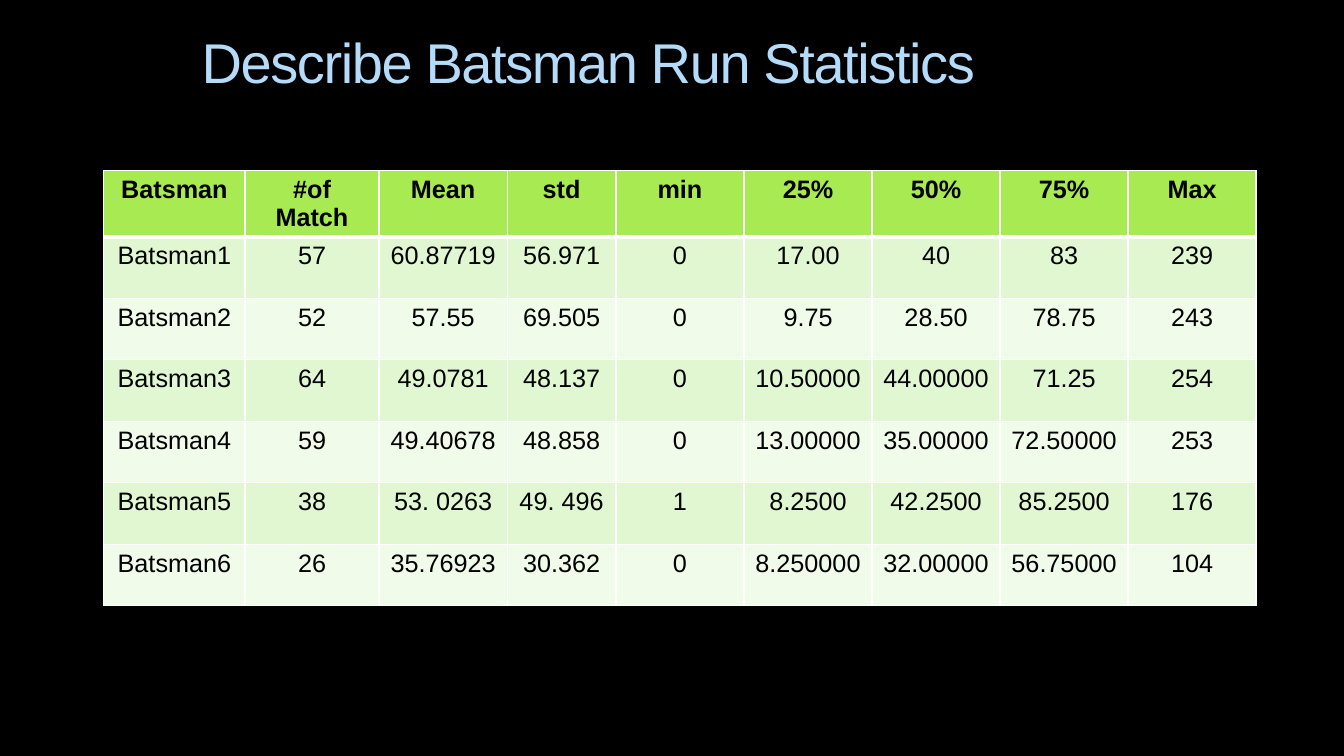
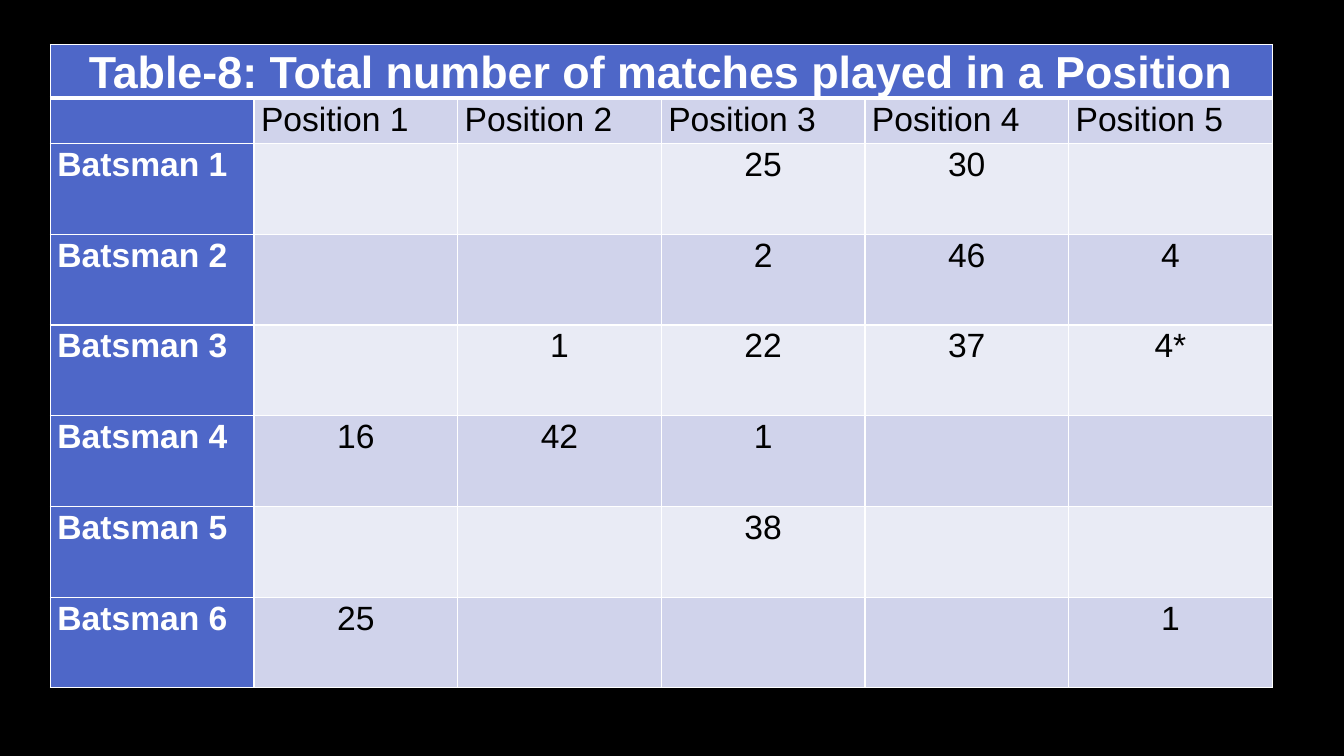
from lxml.etree import SubElement
from pptx import Presentation
from pptx.dml.color import RGBColor
from pptx.enum.text import MSO_ANCHOR, MSO_AUTO_SIZE, PP_ALIGN
from pptx.oxml.ns import qn
from pptx.util import Inches, Pt

BLACK = RGBColor(0x00, 0x00, 0x00)
WHITE = RGBColor(0xFF, 0xFF, 0xFF)
SKY = RGBColor(0xB4, 0xDC, 0xFA)
LIME = RGBColor(0xA7, 0xEA, 0x52)
LIME_BANDS = (RGBColor(0xE1, 0xF7, 0xD1), RGBColor(0xF1, 0xFB, 0xE9))
INDIGO = RGBColor(0x4E, 0x67, 0xC8)
INDIGO_BANDS = (RGBColor(0xD0, 0xD3, 0xEB), RGBColor(0xE9, 0xEB, 0xF5))
FONT = "Arial"
TITLE_ONLY, BLANK = 5, 6

STATISTICS = [
    ("Batsman", "#of Match", "Mean", "std", "min", "25%", "50%", "75%", "Max"),
    ("Batsman1", "57", "60.87719", "56.971", "0", "17.00", "40", "83", "239"),
    ("Batsman2", "52", "57.55", "69.505", "0", "9.75", "28.50", "78.75", "243"),
    ("Batsman3", "64", "49.0781", "48.137", "0", "10.50000", "44.00000", "71.25", "254"),
    ("Batsman4", "59", "49.40678", "48.858", "0", "13.00000", "35.00000", "72.50000", "253"),
    ("Batsman5", "38", "53. 0263", "49. 496", "1", "8.2500", "42.2500", "85.2500", "176"),
    ("Batsman6", "26", "35.76923", "30.362", "0", "8.250000", "32.00000", "56.75000", "104"),
]
POSITION_CAPTION = "Table-8: Total number of matches played in a Position"
POSITION_MATCHES = [
    ("", "", "25", "30", ""),
    ("", "", "2", "46", "4"),
    ("", "1", "22", "37", "4*"),
    ("16", "42", "1", "", ""),
    ("", "", "38", "", ""),
    ("25", "", "", "", "1"),
]


def add_run(paragraph, text, size, color, bold=False):
    run = paragraph.add_run()
    run.text = text
    run.font.name = FONT
    run.font.size = Pt(size)
    run.font.bold = bold
    run.font.color.rgb = color
    return run


def add_title(slide, text, left, top, width, height):
    title = slide.shapes.title
    title.left, title.top = Inches(left), Inches(top)
    title.width, title.height = Inches(width), Inches(height)
    frame = title.text_frame
    frame.auto_size = MSO_AUTO_SIZE.NONE
    frame.vertical_anchor = MSO_ANCHOR.TOP
    frame.margin_left, frame.margin_top = Inches(0.07), Inches(0.11)
    paragraph = frame.paragraphs[0]
    paragraph.alignment = PP_ALIGN.LEFT
    run = add_run(paragraph, text, 40, SKY)
    run.font._element.set("spc", "-100")


def add_grid(slide, left, top, widths, heights):
    frame = slide.shapes.add_table(
        len(heights), len(widths), Inches(left), Inches(top),
        Inches(sum(widths)), Inches(sum(heights)))
    table = frame.table
    for column, width in zip(table.columns, widths):
        column.width = Inches(width)
    for row, height in zip(table.rows, heights):
        row.height = Inches(height)
    return table


def set_borders(cell, row):
    properties = cell._tc.get_or_add_tcPr()
    weights = {"a:lnL": 1, "a:lnR": 1, "a:lnT": 3 if row == 1 else 1,
               "a:lnB": 3 if row == 0 else 1}
    for side, weight in weights.items():
        line = SubElement(properties, qn(side), w=str(Pt(weight)))
        fill = SubElement(line, qn("a:solidFill"))
        SubElement(fill, qn("a:srgbClr"), val=str(WHITE))


def fill_cell(cell, row, fill, text, size, color, bold, align, spacing=None):
    set_borders(cell, row)
    cell.fill.solid()
    cell.fill.fore_color.rgb = fill
    if text:
        paragraph = cell.text_frame.paragraphs[0]
        paragraph.alignment = align
        if spacing:
            paragraph.line_spacing = spacing
            cell.margin_left = cell.margin_right = Inches(0.07)
            cell.margin_top = cell.margin_bottom = 0
        add_run(paragraph, text, size, color, bold)


def add_statistics_table(slide, left, top):
    widths = [1.4, 1.33, 1.27, 1.08] + [1.27] * 5
    table = add_grid(slide, left, top, widths, [0.61] * len(STATISTICS))
    for row, values in enumerate(STATISTICS):
        header = row == 0
        fill = LIME if header else LIME_BANDS[(row - 1) % 2]
        for column, text in enumerate(values):
            fill_cell(table.cell(row, column), row, fill, text, 18, BLACK,
                      header, PP_ALIGN.CENTER)


def add_position_table(slide, left, top):
    count = len(POSITION_MATCHES[0])
    rows = [[POSITION_CAPTION] + [""] * count,
            [""] + [f"Position {n}" for n in range(1, count + 1)]]
    rows += [[f"Batsman {n}", *matches]
             for n, matches in enumerate(POSITION_MATCHES, 1)]
    heights = [0.45] * 2 + [0.9] * len(POSITION_MATCHES)
    table = add_grid(slide, left, top, [2.02] * (count + 1), heights)
    table.first_col = True
    table.cell(0, 0).merge(table.cell(0, count))
    for row, values in enumerate(rows):
        for column, text in enumerate(values):
            caption = row == 0
            heading = caption or column == 0
            label = not caption and (row == 1 or column == 0)
            fill_cell(table.cell(row, column), row,
                      INDIGO if heading else INDIGO_BANDS[(row - 1) % 2],
                      text, 32 if caption else 24,
                      WHITE if heading else BLACK, heading,
                      PP_ALIGN.LEFT if label else PP_ALIGN.CENTER, 1.07)


def build_statistics_slide(deck):
    slide = deck.slides.add_slide(deck.slide_layouts[TITLE_ONLY])
    add_title(slide, "Describe Batsman Run Statistics", 1.93, 0.16, 12, 1)
    add_statistics_table(slide, 1.03, 1.69)


def build_position_slide(deck):
    slide = deck.slides.add_slide(deck.slide_layouts[BLANK])
    add_position_table(slide, 0.5, 0.44)


def main():
    deck = Presentation()
    deck.slide_width, deck.slide_height = Inches(13.33), Inches(7.5)
    background = deck.slide_master.background.fill
    background.solid()
    background.fore_color.rgb = BLACK
    build_statistics_slide(deck)
    build_position_slide(deck)
    deck.save("out.pptx")


if __name__ == "__main__":
    main()
